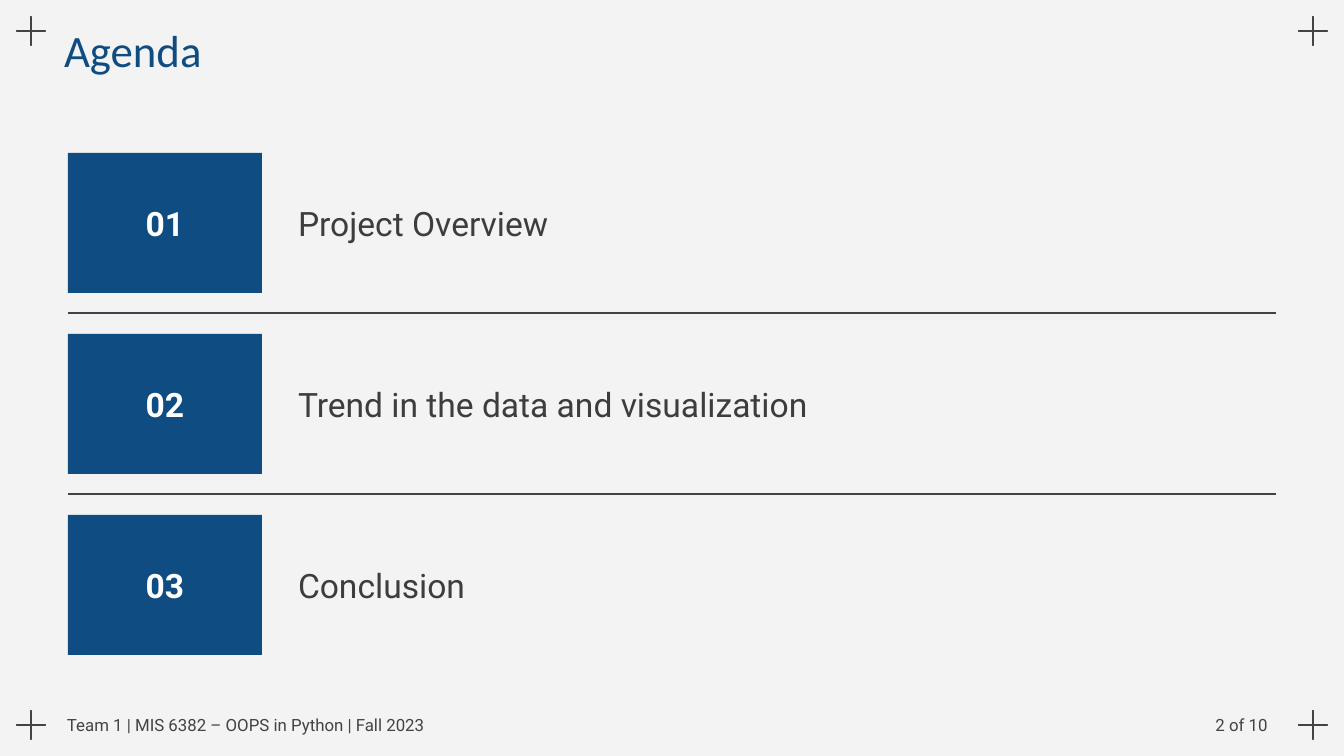
from lxml import etree
from pptx import Presentation
from pptx.dml.color import RGBColor
from pptx.enum import shapes, text
from pptx.oxml.ns import qn
from pptx.util import Emu, Pt

SLIDE_W, SLIDE_H = 1344, 756
EMU_PER_PX = 914400 / 134.4

COLORS = {
    "background": "F3F3F3",
    "blue": "0F4C81",
    "rule": "434343",
    "body": "3D3D3D",
    "white": "FFFFFF",
}
TOPICS = ["Project Overview", "Trend in the data and visualization", "Conclusion"]

# Agenda grid
LEFT, RIGHT = 68, 1276
TOP, ROW_PITCH = 153, 181
BOX_W, BOX_H = 194, 140
TOPIC_X = 285
RULE_OFFSET = 160

# Corner marks
MARK_SIZE, MARK_MARGIN = 40, 11


def px(length):
    return Emu(round(length * EMU_PER_PX))


def color(name):
    return RGBColor.from_string(COLORS[name])


def write(shape, words, size=18, font="Roboto", ink="body", bold=False,
          align=text.PP_ALIGN.LEFT, inset_y=13):
    frame = shape.text_frame
    frame.word_wrap = True
    frame.vertical_anchor = text.MSO_ANCHOR.MIDDLE
    frame.margin_left = frame.margin_right = px(13)
    frame.margin_top = frame.margin_bottom = px(inset_y)
    paragraph = frame.paragraphs[0]
    paragraph.alignment = align
    run = paragraph.add_run()
    run.text = words
    run.font.size = Pt(size)
    run.font.name = font
    run.font.bold = bold
    run.font.color.rgb = color(ink)


def add_label(slide, x, y, w, h, words, **style):
    label = slide.shapes.add_textbox(px(x), px(y), px(w), px(h))
    write(label, words, **style)


def add_corner_mark(slide, x, y):
    mark = slide.shapes.add_shape(shapes.MSO_SHAPE.MATH_PLUS, px(x), px(y),
                                  px(MARK_SIZE), px(MARK_SIZE))
    mark.adjustments[0] = 0.007
    mark.shadow.inherit = False
    mark.fill.background()
    mark.line.color.rgb = color("rule")
    mark.line.width = Pt(0.75)


def add_number_box(slide, y, number):
    box = slide.shapes.add_shape(shapes.MSO_SHAPE.RECTANGLE, px(LEFT), px(y),
                                 px(BOX_W), px(BOX_H))
    box.shadow.inherit = False
    box.fill.solid()
    box.fill.fore_color.rgb = color("blue")
    box.line.fill.background()
    write(box, f"{number:02}", ink="white", bold=True, align=text.PP_ALIGN.CENTER)


def add_rule(slide, y):
    rule = slide.shapes.add_connector(shapes.MSO_CONNECTOR.STRAIGHT,
                                      px(LEFT), px(y), px(RIGHT), px(y))
    rule.line.color.rgb = color("rule")
    rule.line.width = Pt(0.75)
    etree.SubElement(rule._element.spPr, qn("a:effectLst"))


def main():
    deck = Presentation()
    deck.slide_width, deck.slide_height = px(SLIDE_W), px(SLIDE_H)
    slide = deck.slides.add_slide(deck.slide_layouts[6])
    slide.background.fill.solid()
    slide.background.fill.fore_color.rgb = color("background")

    # Corner marks
    for y in (MARK_MARGIN, SLIDE_H - MARK_MARGIN - MARK_SIZE):
        for x in (MARK_MARGIN, SLIDE_W - MARK_MARGIN - MARK_SIZE):
            add_corner_mark(slide, x, y)

    # Title
    add_label(slide, 51, 24, 562, 52, "Agenda", size=24, font="Calibri", ink="blue")

    # Agenda rows, with a rule between each two
    for index, topic in enumerate(TOPICS):
        y = TOP + index * ROW_PITCH
        add_number_box(slide, y, index + 1)
        add_label(slide, TOPIC_X, y, RIGHT - TOPIC_X, BOX_H, topic)
        if index < len(TOPICS) - 1:
            add_rule(slide, y + RULE_OFFSET)

    # Footer
    footer = {"size": 9, "ink": "rule", "inset_y": 0}
    add_label(slide, 54, 711, 605, 27,
              "Team 1 | MIS 6382 – OOPS in Python | Fall 2023", **footer)
    add_label(slide, 1193, 711, 97, 27, "2 of 10",
              align=text.PP_ALIGN.CENTER, **footer)

    deck.save("out.pptx")


if __name__ == "__main__":
    main()
